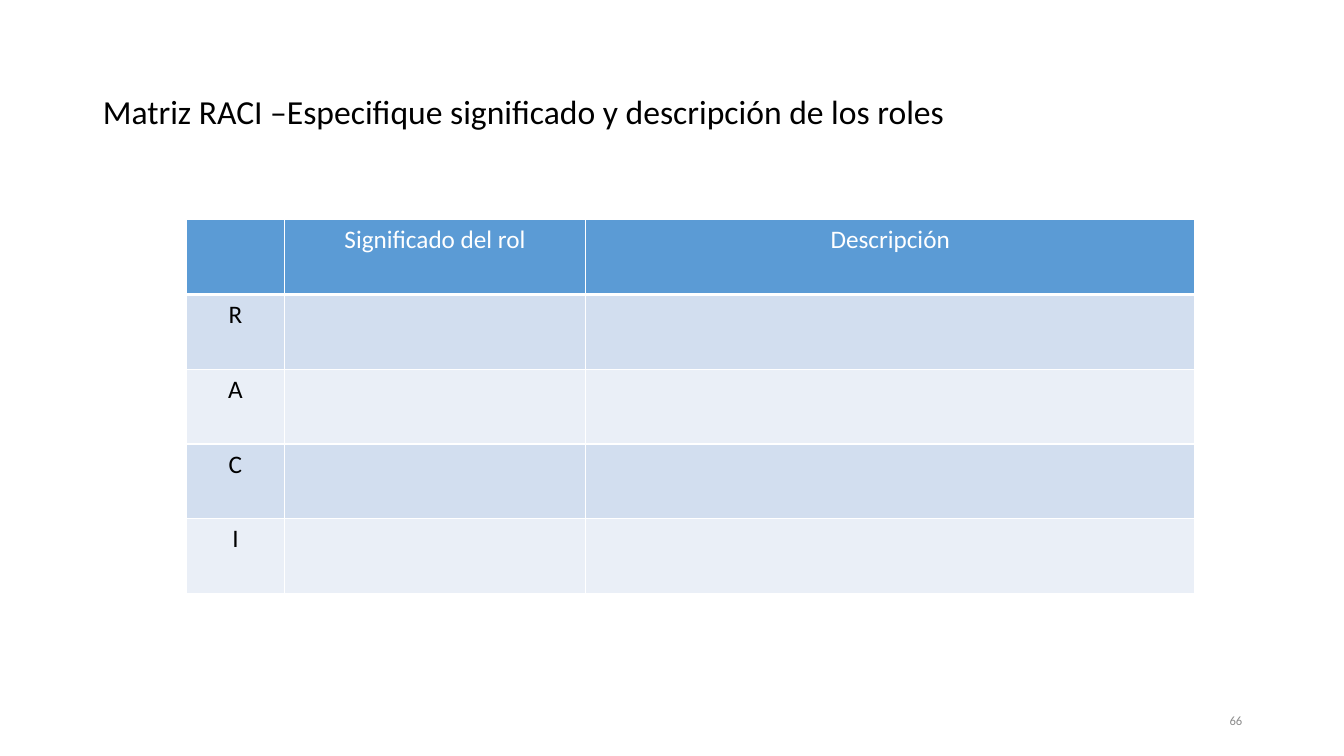
import pptx
import pptx.util
import pptx.dml.color
import pptx.enum.text
import pptx.oxml
import pptx.oxml.ns

Inches, Pt = pptx.util.Inches, pptx.util.Pt
RGBColor = pptx.dml.color.RGBColor
Align = pptx.enum.text.PP_ALIGN
Anchor = pptx.enum.text.MSO_ANCHOR

# Content
TITLE = "Matriz RACI –Especifique significado y descripción de los roles"
PAGE_NUMBER = "66"
ROLE_ROWS = [
    ("", "Significado del rol", "Descripción"),
    ("R", "", ""),
    ("A", "", ""),
    ("C", "", ""),
    ("I", "", ""),
]
COLUMN_WIDTHS = (0.97, 2.99, 6.04)
ROW_HEIGHT = 0.742

# Style
FONT = "Calibri"
BLACK = RGBColor(0x00, 0x00, 0x00)
WHITE = RGBColor(0xFF, 0xFF, 0xFF)
GREY = RGBColor(0x8C, 0x8C, 0x8C)
HEADER_BLUE = RGBColor(0x5B, 0x9B, 0xD5)
BANDS = (RGBColor(0xD2, 0xDE, 0xEF), RGBColor(0xEA, 0xEF, 0xF7))


def write(frame, text, size, color, align):
    frame.text = text
    para = frame.paragraphs[0]
    para.alignment = align
    para.font.size = Pt(size)
    for span in para.runs:
        span.font.name = FONT
        span.font.size = Pt(size)
        span.font.bold = False
        span.font.color.rgb = color
    return para


def add_borders(cell, bottom_width):
    properties = cell._tc.get_or_add_tcPr()
    widths = {"lnL": 1, "lnR": 1, "lnT": 1, "lnB": bottom_width}
    for position, (side, width) in enumerate(widths.items()):
        line = pptx.oxml.parse_xml(
            f'<a:{side} {pptx.oxml.ns.nsdecls("a")} w="{Pt(width)}">'
            f'<a:solidFill><a:srgbClr val="{WHITE}"/></a:solidFill></a:{side}>'
        )
        properties.insert(position, line)


deck = pptx.Presentation()
deck.slide_width, deck.slide_height = Inches(13.33), Inches(7.5)
page = deck.slides.add_slide(deck.slide_layouts[5])

# Title
title = page.shapes.title
title.left, title.top = Inches(0.92), Inches(0.4)
title.width, title.height = Inches(11.5), Inches(1.45)
title.text_frame.vertical_anchor = Anchor.MIDDLE
heading = write(title.text_frame, TITLE, 24, BLACK, Align.JUSTIFY)
heading.line_spacing = 0.9

# Slide number
number = page.shapes.add_textbox(Inches(9.42), Inches(6.95), Inches(3), Inches(0.4))
number.text_frame.word_wrap = True
number.text_frame.vertical_anchor = Anchor.MIDDLE
write(number.text_frame, PAGE_NUMBER, 9, GREY, Align.RIGHT)

# RACI table
matrix = page.shapes.add_table(
    len(ROLE_ROWS), len(COLUMN_WIDTHS), Inches(1.85), Inches(2.18),
    Inches(sum(COLUMN_WIDTHS)), Inches(ROW_HEIGHT * len(ROLE_ROWS)),
).table
for column, width in zip(matrix.columns, COLUMN_WIDTHS):
    column.width = Inches(width)
for row_index, texts in enumerate(ROLE_ROWS):
    matrix.rows[row_index].height = Inches(ROW_HEIGHT)
    is_header = row_index == 0
    fill = HEADER_BLUE if is_header else BANDS[(row_index - 1) % 2]
    for column_index, text in enumerate(texts):
        cell = matrix.cell(row_index, column_index)
        cell.fill.solid()
        cell.fill.fore_color.rgb = fill
        write(cell.text_frame, text, 18, WHITE if is_header else BLACK, Align.CENTER)
        add_borders(cell, 3 if is_header else 1)

deck.save("out.pptx")
